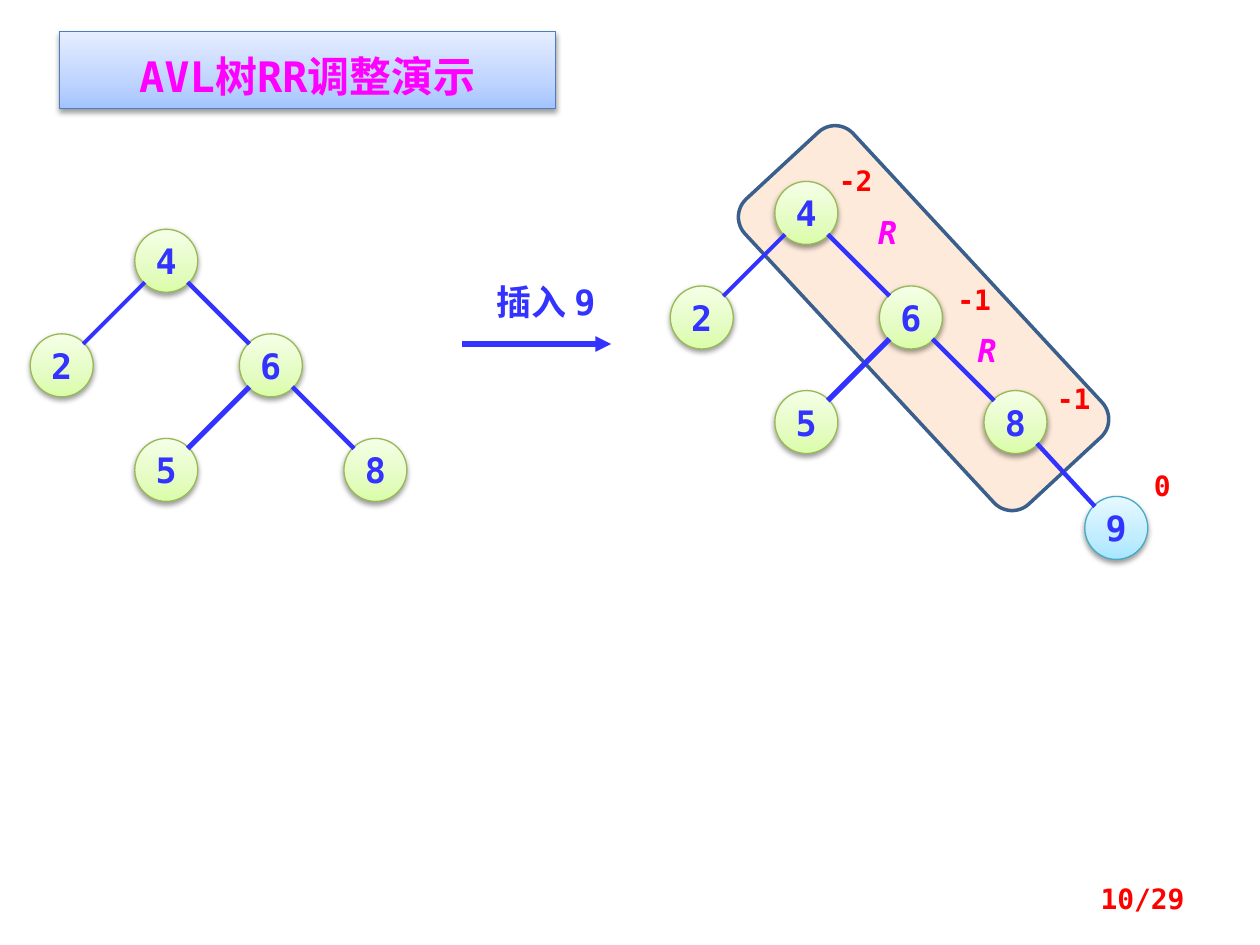
from dataclasses import dataclass

from lxml import etree
from pptx import Presentation
from pptx.dml.color import RGBColor
from pptx.enum import shapes as sh, text as tx
from pptx.oxml import ns, parse_xml
from pptx.util import Inches, Pt

FONT = "DejaVu Sans Mono"
BLUE, RED, PINK = "3333FF", "FF0000", "FF00FF"
LEFT, MID, RIGHT = tx.PP_ALIGN.LEFT, tx.PP_ALIGN.CENTER, tx.PP_ALIGN.RIGHT
SIZE = 0.5   # node diameter
STEP = 0.83  # distance between tree levels
TRIM = 0.17  # from a node's centre to where its edges start


@dataclass
class Look:
    stops: tuple
    line: str


@dataclass
class Node:
    key: str
    x: float
    y: float
    look: Look


@dataclass
class Edge:
    top: str
    low: str
    width: float = 2.5


@dataclass
class Label:
    text: str
    box: tuple
    size: int = 16
    color: str = RED
    slant: bool = False
    align: tx.PP_ALIGN = LEFT


GREEN = Look(("DAFDA7", "E4FCC2", "F5FFE7"), "98B955")
CYAN = Look(("A7E6FF", "C1EDFF", "E7F8FF"), "46AAC5")
PALE = Look(("A4C4FF", "BFD4FF", "E6EEFF"), "4B7EBC")

# key, steps right and down from the root
TREE = (("4", 0, 0), ("2", -1, 1), ("6", 1, 1), ("5", 0, 2), ("8", 2, 2))
EDGES = [Edge("4", "2", 2.25), Edge("4", "6"), Edge("6", "5", 3), Edge("6", "8")]

LABELS = [
    Label("插入 9", (3.84, 2.18, 1.18, 0.43), 20, BLUE),
    Label("R", (6.87, 1.64, 0.39, 0.4), 18, PINK, True),
    Label("R", (7.66, 2.58, 0.39, 0.4), 18, PINK, True),
    Label("0", (9.06, 3.67, 0.31, 0.37)),
    Label("-1", (8.29, 2.98, 0.62, 0.37)),
    Label("-1", (7.5, 2.19, 0.55, 0.37)),
    Label("-2", (6.56, 1.25, 0.55, 0.37)),
    Label("10/29", (7.17, 6.95, 2.33, 0.4), align=RIGHT),
]


def rgb(code: str) -> RGBColor:
    return RGBColor.from_string(code)


def write(shape, words: str, size: int, color: str, align) -> None:
    shape.text_frame.text = words
    para = shape.text_frame.paragraphs[0]
    para.alignment = align
    font = para.runs[0].font
    font.name, font.size, font.bold = FONT, Pt(size), True
    font.color.rgb = rgb(color)


def add_shape(slide, kind, box: tuple, line: str, width: float):
    shape = slide.shapes.add_shape(kind, *map(Inches, box))
    shape.shadow.inherit = False
    shape.line.color.rgb = rgb(line)
    shape.line.width = Pt(width)
    return shape


def add_glossy(slide, kind, box: tuple, look: Look):
    """Add a shape with a vertical gradient and a soft shadow below."""
    shape = add_shape(slide, kind, box, look.line, 0.75)
    shape.fill.gradient()
    props = shape._element.spPr
    stops = "".join(
        f'<a:gs pos="{pos}"><a:srgbClr val="{code}"/></a:gs>'
        for pos, code in zip((0, 35000, 100000), look.stops))
    grad = parse_xml(
        f'<a:gradFill {ns.nsdecls("a")} rotWithShape="1"><a:gsLst>{stops}</a:gsLst>'
        '<a:lin ang="16200000" scaled="0"/></a:gradFill>')
    props.replace(props.find(ns.qn("a:gradFill")), grad)
    props.find(ns.qn("a:effectLst")).append(parse_xml(
        f'<a:outerShdw {ns.nsdecls("a")} blurRad="{Pt(3.1)}" dist="{Pt(1.6)}" '
        'dir="5400000" rotWithShape="0"><a:srgbClr val="000000">'
        '<a:alpha val="38000"/></a:srgbClr></a:outerShdw>'))
    return shape


def add_line(slide, start: tuple, end: tuple, width: float, arrow: bool = False) -> None:
    line = slide.shapes.add_connector(
        sh.MSO_CONNECTOR.STRAIGHT, *map(Inches, start + end))
    line.line.color.rgb = rgb(BLUE)
    line.line.width = Pt(width)
    if arrow:
        etree.SubElement(line.line._get_or_add_ln(), ns.qn("a:tailEnd"), type="triangle")
    etree.SubElement(line._element.spPr, ns.qn("a:effectLst"))


def add_node(slide, node: Node) -> None:
    box = (node.x - SIZE / 2, node.y - SIZE / 2, SIZE, SIZE)
    shape = add_glossy(slide, sh.MSO_SHAPE.OVAL, box, node.look)
    shape.text_frame.word_wrap = False
    shape.text_frame.vertical_anchor = tx.MSO_ANCHOR.MIDDLE
    write(shape, node.key, 20, BLUE, MID)


def add_edge(slide, top: Node, low: Node, width: float) -> None:
    side = TRIM if low.x > top.x else -TRIM
    add_line(slide, (top.x + side, top.y + TRIM), (low.x - side, low.y - TRIM), width)


def add_tree(slide, x: float, y: float, extra: list[Node], edges: list[Edge]) -> None:
    """Draw the tree with its root centred at x, y."""
    nodes = [Node(key, x + col * STEP, y + row * STEP, GREEN) for key, col, row in TREE]
    nodes += extra
    find = {node.key: node for node in nodes}
    for node in nodes:
        add_node(slide, node)
    for edge in edges:
        add_edge(slide, find[edge.top], find[edge.low], edge.width)


def add_label(slide, label: Label) -> None:
    box = slide.shapes.add_textbox(*map(Inches, label.box))
    box.text_frame.word_wrap = True
    write(box, label.text, label.size, label.color, label.align)
    box.text_frame.paragraphs[0].runs[0].font.italic = label.slant


def add_title(slide) -> None:
    shape = add_glossy(slide, sh.MSO_SHAPE.RECTANGLE, (0.47, 0.25, 3.94, 0.61), PALE)
    shape.text_frame.vertical_anchor = tx.MSO_ANCHOR.TOP
    write(shape, "AVL树RR调整演示", 24, PINK, MID)
    shape.text_frame.paragraphs[0].line_spacing = 1.25


def main() -> None:
    deck = Presentation()
    deck.slide_width, deck.slide_height = Inches(10), Inches(7.5)
    slide = deck.slides.add_slide(deck.slide_layouts[6])

    band = add_shape(slide, sh.MSO_SHAPE.ROUNDED_RECTANGLE,
                     (5.68, 1.94, 3.3, 1.17), "3A5F8C", 2)
    band.fill.solid()
    band.fill.fore_color.rgb = rgb("FDEADA")
    band.rotation = 47.2

    add_title(slide)
    add_tree(slide, 1.32, 2.07, [], EDGES)
    add_line(slide, (3.67, 2.73), (4.85, 2.73), 3, arrow=True)
    add_tree(slide, 6.4, 1.69, [Node("9", 8.86, 4.19, CYAN)], EDGES + [Edge("8", "9")])
    for label in LABELS:
        add_label(slide, label)
    deck.save("out.pptx")


if __name__ == "__main__":
    main()
